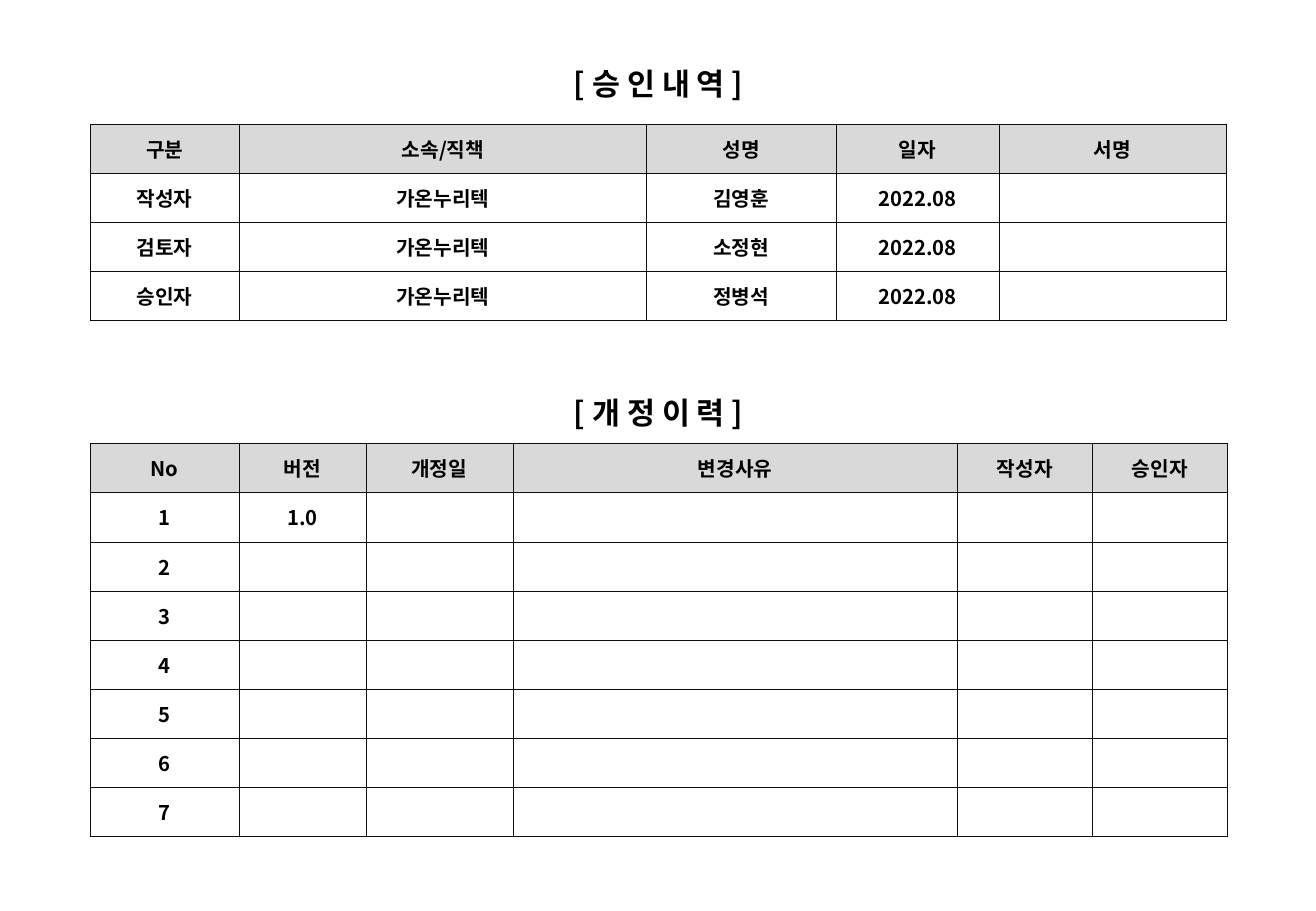
import pptx
import pptx.util
import pptx.dml.color
import pptx.enum.text
import pptx.oxml.ns
import lxml.etree

FONT = "Noto Sans CJK KR"
INK, BORDER, HEADER_FILL = "000000", "0D0D0D", "D9D9D9"
SLIDE_WIDTH, SLIDE_HEIGHT = 10.83, 7.5
TABLE_LEFT, ROW_HEIGHT = 0.74, 0.405
TITLE_LEFT, TITLE_WIDTH, TITLE_HEIGHT = 4.5, 1.84, 0.4

APPROVAL_COLUMNS = [1.23, 3.35, 1.56, 1.34, 1.87]
APPROVAL_ROWS = [
    ["구분", "소속/직책", "성명", "일자", "서명"],
    ["작성자", "가온누리텍", "김영훈", "2022.08", ""],
    ["검토자", "가온누리텍", "소정현", "2022.08", ""],
    ["승인자", "가온누리텍", "정병석", "2022.08", ""],
]
REVISION_COLUMNS = [1.23, 1.04, 1.21, 3.66, 1.11, 1.11]
REVISION_ROWS = [["No", "버전", "개정일", "변경사유", "작성자", "승인자"]]
REVISION_ROWS += [[str(number), "1.0" if number == 1 else "", "", "", "", ""]
                  for number in range(1, 8)]


def inches(value):
    return pptx.util.Inches(value)


def color(value):
    return pptx.dml.color.RGBColor.from_string(value)


def add_element(parent, tag, **attributes):
    return lxml.etree.SubElement(parent, pptx.oxml.ns.qn(tag), attributes)


def set_text(text_frame, text, size):
    """Centred bold text in the slide's one font."""
    text_frame.text = text
    paragraph = text_frame.paragraphs[0]
    paragraph.alignment = pptx.enum.text.PP_ALIGN.CENTER
    for run in paragraph.runs:
        run.font.size = pptx.util.Pt(size)
        run.font.bold = True
        run.font.name = FONT
        run.font.color.rgb = color(INK)
        add_element(run.font._element, "a:ea", typeface=FONT)


def set_borders(cell):
    properties = cell._tc.get_or_add_tcPr()
    for position, side in enumerate(("a:lnL", "a:lnR", "a:lnT", "a:lnB")):
        line = add_element(properties, side, w=str(pptx.util.Pt(0.25)))
        add_element(add_element(line, "a:solidFill"), "a:srgbClr", val=BORDER)
        properties.insert(position, line)


def add_title(slide, top, text):
    box = slide.shapes.add_textbox(inches(TITLE_LEFT), inches(top),
                                   inches(TITLE_WIDTH), inches(TITLE_HEIGHT))
    box.text_frame.word_wrap = False
    box.text_frame.auto_size = pptx.enum.text.MSO_AUTO_SIZE.SHAPE_TO_FIT_TEXT
    set_text(box.text_frame, text, 18)


def add_grid(slide, top, widths, rows):
    table = slide.shapes.add_table(
        len(rows), len(widths), inches(TABLE_LEFT), inches(top),
        inches(sum(widths)), inches(ROW_HEIGHT * len(rows))).table
    table.horz_banding = False
    for column, width in zip(table.columns, widths):
        column.width = inches(width)
    for row_index, texts in enumerate(rows):
        table.rows[row_index].height = inches(ROW_HEIGHT)
        for column_index, text in enumerate(texts):
            cell = table.cell(row_index, column_index)
            cell.margin_top = cell.margin_bottom = 0
            cell.vertical_anchor = pptx.enum.text.MSO_ANCHOR.MIDDLE
            if row_index == 0:
                cell.fill.solid()
                cell.fill.fore_color.rgb = color(HEADER_FILL)
            else:
                cell.fill.background()
            set_borders(cell)
            set_text(cell.text_frame, text, 12)


def add_section(slide, title_top, title, table_top, widths, rows):
    add_title(slide, title_top, title)
    add_grid(slide, table_top, widths, rows)


def main():
    presentation = pptx.Presentation()
    presentation.slide_width = inches(SLIDE_WIDTH)
    presentation.slide_height = inches(SLIDE_HEIGHT)
    slide = presentation.slides.add_slide(presentation.slide_layouts[6])

    # Approval record
    add_section(slide, 0.49, "[ 승 인 내 역 ]", 1.02, APPROVAL_COLUMNS, APPROVAL_ROWS)
    # Revision history
    add_section(slide, 3.2, "[ 개 정 이 력 ]", 3.65, REVISION_COLUMNS, REVISION_ROWS)

    presentation.save("out.pptx")


if __name__ == "__main__":
    main()
